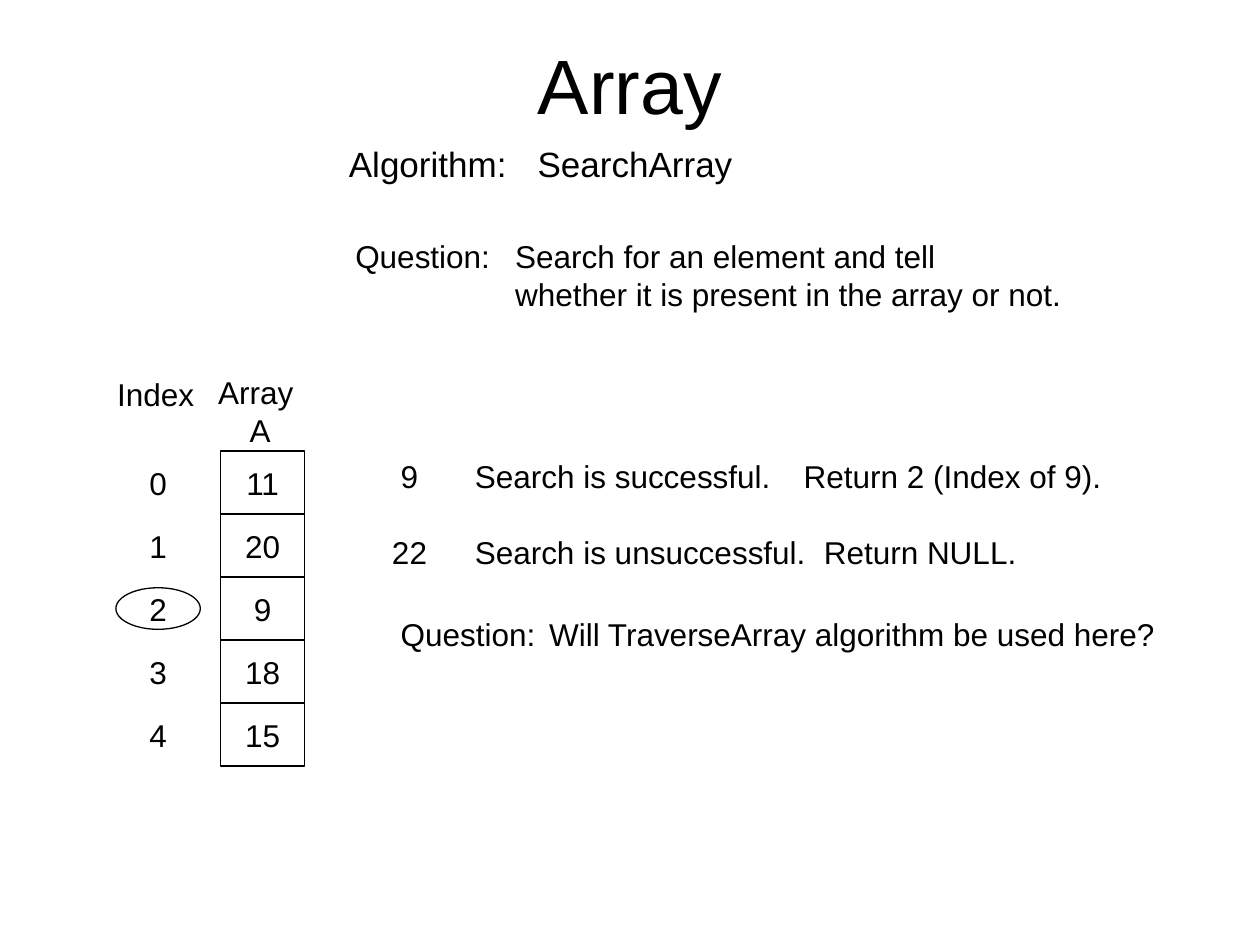
import pptx
import pptx.util
import pptx.dml.color
import pptx.enum.shapes
import pptx.enum.text

Inches = pptx.util.Inches
Shape = pptx.enum.shapes.MSO_SHAPE
Align = pptx.enum.text.PP_ALIGN
Anchor = pptx.enum.text.MSO_ANCHOR

BLACK = pptx.dml.color.RGBColor(0, 0, 0)
FONT = "Arial"

VALUES = [11, 20, 9, 18, 15]
FOUND_INDEX = 2
ARRAY_TOP, ARRAY_LEFT, INDEX_LEFT = 3.58, 1.75, 0.92
CELL_W, CELL_H = 0.67, 0.5
OVAL_H = 0.33


def write(sp, text, *, size=18, align=Align.LEFT, anchor=Anchor.TOP,
          wrap=False, grow=False):
    """Fill a shape with text, one paragraph for each line."""
    tf = sp.text_frame
    tf.word_wrap = wrap
    tf.vertical_anchor = anchor
    if grow:
        tf.auto_size = pptx.enum.text.MSO_AUTO_SIZE.SHAPE_TO_FIT_TEXT
    for i, line in enumerate(text.split("\n")):
        p = tf.paragraphs[0] if i == 0 else tf.add_paragraph()
        p.alignment = align
        r = p.add_run()
        r.text = line
        r.font.name = FONT
        r.font.size = pptx.util.Pt(size)
        r.font.color.rgb = BLACK


class SlideBuilder:
    def __init__(self, s, line_width=0.75):
        self.s = s
        self.line_width = pptx.util.Pt(line_width)

    def text(self, text, left, top, width, height=0.4, **fmt):
        sp = self.s.shapes.add_textbox(
            Inches(left), Inches(top), Inches(width), Inches(height))
        write(sp, text, **fmt)

    def label(self, text, left, top, width, height=0.4, **fmt):
        """Add a text box that fits its text."""
        self.text(text, left, top, width, height, grow=True, **fmt)

    def outline(self, kind, left, top, width, height):
        sp = self.s.shapes.add_shape(
            kind, Inches(left), Inches(top), Inches(width), Inches(height))
        sp.shadow.inherit = False
        sp.fill.background()
        sp.line.color.rgb = BLACK
        sp.line.width = self.line_width
        return sp

    def array(self, values):
        """Stack the array cells with their indexes on the left."""
        fmt = dict(align=Align.CENTER, anchor=Anchor.MIDDLE)
        for i, value in enumerate(values):
            top = ARRAY_TOP + i * CELL_H
            cell = self.outline(Shape.RECTANGLE, ARRAY_LEFT, top, CELL_W, CELL_H)
            write(cell, str(value), **fmt)
            self.text(str(i), INDEX_LEFT, top, CELL_W, CELL_H, **fmt)

    def circle_index(self, index):
        top = ARRAY_TOP + index * CELL_H + (CELL_H - OVAL_H) / 2
        self.outline(Shape.OVAL, INDEX_LEFT, top, CELL_W, OVAL_H)


def main():
    prs = pptx.Presentation()
    prs.slide_width, prs.slide_height = Inches(10), Inches(7.5)
    b = SlideBuilder(prs.slides.add_slide(prs.slide_layouts[6]))
    center = Align.CENTER

    b.text("Array", 0.75, 0.25, 8.5, 0.83, size=44, align=center,
           anchor=Anchor.MIDDLE, wrap=True)
    b.label("Algorithm:", 2.67, 1.08, 1.45, 0.43, size=20, align=center)
    b.label("SearchArray", 4.14, 1.08, 1.8, 0.43, size=20, align=center)
    b.label("Question:", 2.72, 1.83, 1.27, align=center)
    b.label("Search for an element and tell\n"
            "whether it is present in the array or not.", 3.99, 1.83, 4.6, 0.7)

    b.label("Index", 0.83, 2.93, 0.81, align=center)
    b.label("Array \nA", 1.63, 2.91, 0.87, 0.7, align=center)
    b.array(VALUES)
    b.circle_index(FOUND_INDEX)

    b.label("9", 3.08, 3.58, 0.34, align=center)
    b.label("Search is successful.", 3.67, 3.58, 2.58)
    b.label("Return 2 (Index of 9).", 6.28, 3.58, 2.6)
    b.label("22", 3.01, 4.18, 0.48, align=center)
    b.label("Search is unsuccessful.", 3.67, 4.18, 2.86)
    b.label("Return NULL.", 6.44, 4.18, 1.76)
    b.label("Question: ", 3.08, 4.83, 1.34, align=center)
    b.label("Will TraverseArray algorithm be used here?", 4.26, 4.83, 5.06)

    prs.save("out.pptx")


if __name__ == "__main__":
    main()
